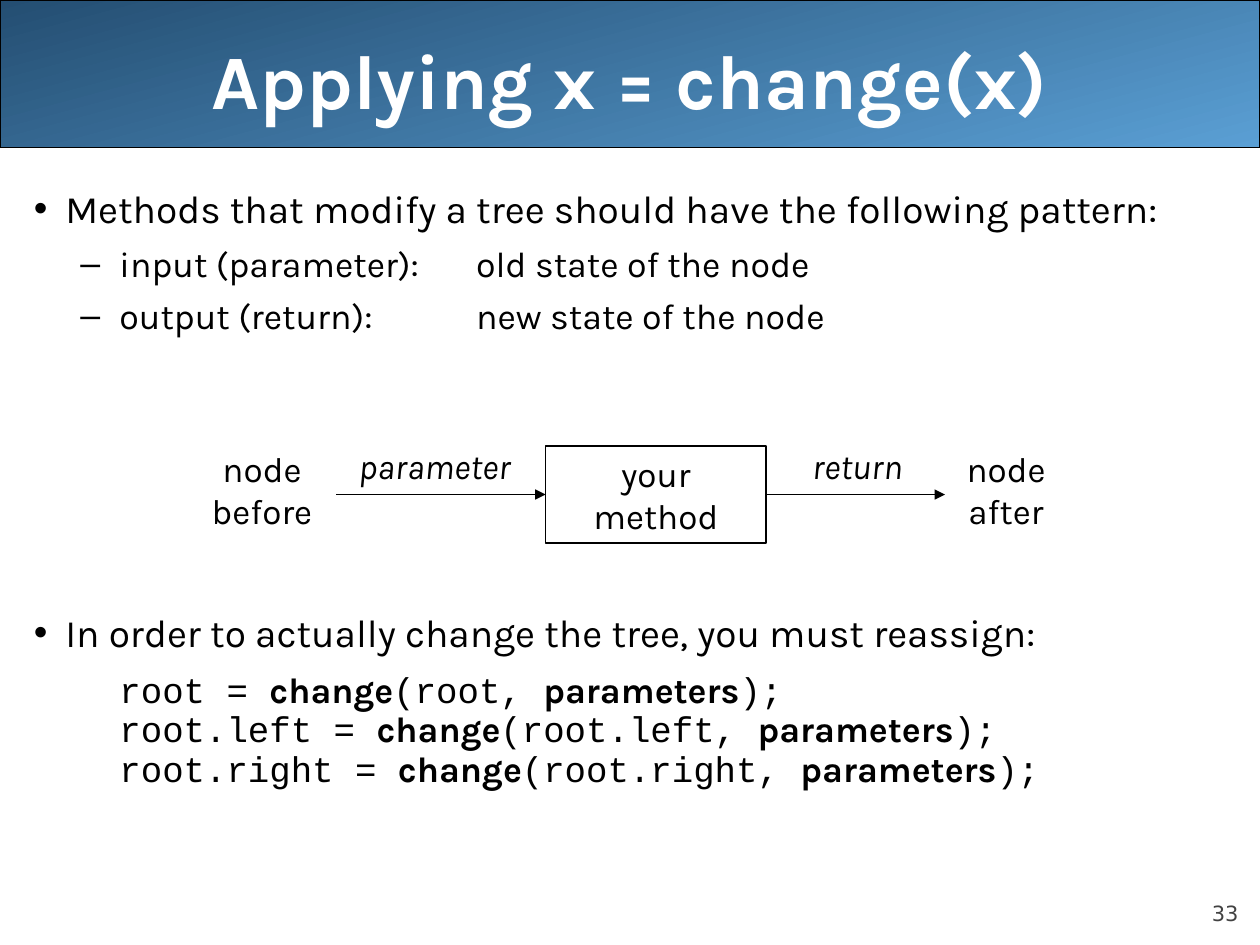
from lxml.etree import SubElement
from pptx import Presentation
from pptx.dml.color import RGBColor
from pptx.enum.shapes import MSO_CONNECTOR, MSO_SHAPE
from pptx.enum.text import MSO_ANCHOR as ANCHOR, PP_ALIGN as ALIGN
from pptx.oxml.ns import qn
from pptx.util import Inches, Pt

COLORS = {
    "ink": "000000",
    "title": "FFFFFF",
    "number": "424242",
    "band_dark": "244E72",
    "band_light": "5A9FD4",
}
COLUMNS, ROWS = 100, 75
CELL = Inches(0.1)
BODY_FONT, CODE_FONT, NUMBER_FONT = "Karla", "Courier New", "DejaVu Sans"
BULLET_SIZE, DETAIL_SIZE, LABEL_SIZE = 22.2, 20.4, 20
TAB_STOP = Inches(3.51)


def color(name):
    return RGBColor.from_string(COLORS[name])


def cells(*counts):
    return [round(count * CELL) for count in counts]


def add_run(paragraph, text, size, font=BODY_FONT, ink="ink", bold=False, italic=False):
    run = paragraph.add_run()
    run.text = text
    run.font.size, run.font.name = Pt(size), font
    run.font.bold, run.font.italic = bold, italic
    run.font.color.rgb = color(ink)


def next_paragraph(frame):
    first = frame.paragraphs[0]
    return frame.add_paragraph() if first.runs else first


def add_text_box(slide, box, wrap=True):
    frame = slide.shapes.add_textbox(*cells(*box)).text_frame
    frame.word_wrap = wrap
    return frame


def add_lines(frame, lines, align=ALIGN.CENTER, italic=False):
    for line in lines:
        paragraph = next_paragraph(frame)
        paragraph.alignment = align
        add_run(paragraph, line, LABEL_SIZE, italic=italic)


def add_item(frame, left, hanging, before, bullet=None):
    paragraph = next_paragraph(frame)
    paragraph.space_before = Pt(before)
    properties = paragraph._p.get_or_add_pPr()
    properties.set("marL", str(Inches(left)))
    properties.set("indent", str(-Inches(hanging)))
    if bullet:
        SubElement(properties, qn("a:buFont"), typeface="Arial")
        SubElement(properties, qn("a:buChar"), char=bullet)
    tabs = SubElement(properties, qn("a:tabLst"))
    SubElement(tabs, qn("a:tab"), pos=str(TAB_STOP), algn="l")
    return paragraph


def add_bullet(frame, text):
    add_run(add_item(frame, 0.25, 0.25, 6, "•"), text, BULLET_SIZE)


def add_arrow(slide, start, end):
    arrow = slide.shapes.add_connector(MSO_CONNECTOR.STRAIGHT, *cells(*start, *end))
    arrow.line.color.rgb = color("ink")
    arrow.line.width = Pt(0.75)
    SubElement(arrow.line._get_or_add_ln(), qn("a:tailEnd"), type="triangle")
    SubElement(arrow._element.spPr, qn("a:effectLst"))
    return arrow


def add_title_band(slide, box):
    x, y, width, height = box
    band = slide.shapes.add_shape(MSO_SHAPE.ROUNDED_RECTANGLE, *cells(*box))
    band.adjustments[0] = 0
    band.shadow.inherit = False
    band.fill.gradient()
    band.fill.gradient_angle = 285
    for stop, name in zip(band.fill.gradient_stops, ("band_dark", "band_light")):
        stop.color.rgb = color(name)
    band.line.color.rgb = color("ink")
    band.line.width = Pt(0.75)

    frame = add_text_box(slide, (x + 5, y, width - 10, height + 0.8))
    frame.vertical_anchor = ANCHOR.MIDDLE
    title = frame.paragraphs[0]
    title.alignment = ALIGN.CENTER
    add_run(title, "Applying x = change(x)", 44, ink="title", bold=True)


def add_pattern(slide, box):
    frame = add_text_box(slide, box)
    add_bullet(frame, "Methods that modify a tree should have the following pattern:")
    for detail in ("input (parameter):\told state of the node",
                   "output (return):\tnew state of the node"):
        add_run(add_item(frame, 0.68, 0.31, 5.5, "–"), detail, DETAIL_SIZE)


def add_flow(slide, box):
    x, y, width, height = box
    label_height, middle = 7.7, y + 4.45
    method = slide.shapes.add_shape(
        MSO_SHAPE.RECTANGLE,
        *cells(x + 27.8, middle - label_height / 2, 17.5, label_height))
    method.shadow.inherit = False
    method.fill.background()
    method.line.color.rgb = color("ink")
    method.line.width = Pt(0.75)
    add_lines(method.text_frame, ("your", "method"))

    parameter_arrow = add_arrow(slide, (x + 11.2, middle), (x + 27.8, middle))
    parameter_arrow.end_connect(method, 1)
    return_arrow = add_arrow(slide, (x + 45.3, middle), (x + 59.5, middle))
    return_arrow.begin_connect(method, 3)

    for left, span, state in ((0, 10.6, "before"), (width - 8.7, 8.7, "after")):
        node = add_text_box(slide, (x + left, y + 0.2, span, label_height), wrap=False)
        add_lines(node, ("node", state))
    for left, span, label in ((10.9, 15.1, "parameter"), (47.4, 9.7, "return")):
        caption = add_text_box(slide, (x + left, y, span, 4.4), wrap=False)
        add_lines(caption, (label,), ALIGN.RIGHT, italic=True)


def add_reassignment(slide, box):
    frame = add_text_box(slide, box)
    add_bullet(frame, "In order to actually change the tree, you must reassign:")
    for index, target in enumerate(("root", "root.left", "root.right")):
        code = add_item(frame, 0.68, 0, 5.5 if index else 13.5)
        code.line_spacing = 0.7
        for text, is_name in ((f"{target} = ", False), ("change", True),
                              (f"({target}, ", False), ("parameters", True),
                              (");", False)):
            font = BODY_FONT if is_name else CODE_FONT
            add_run(code, text, DETAIL_SIZE, font, bold=is_name)


def add_slide_number(slide, box):
    frame = add_text_box(slide, box)
    frame.margin_left = frame.margin_right = frame.margin_top = frame.margin_bottom = 0
    frame.vertical_anchor = ANCHOR.BOTTOM
    number = frame.paragraphs[0]
    number.alignment = ALIGN.RIGHT
    add_run(number, "33", 12, NUMBER_FONT, "number")


def main():
    deck = Presentation()
    deck.slide_width, deck.slide_height = COLUMNS * CELL, ROWS * CELL
    slide = deck.slides.add_slide(deck.slide_layouts[6])
    add_title_band(slide, (0, 0, COLUMNS, 11.7))
    add_slide_number(slide, (90, 69.5, 8.3, 4))
    add_pattern(slide, (1.7, 14.2, 98.3, 14))
    add_reassignment(slide, (1.7, 47.85, 98.3, 23))
    add_flow(slide, (15.5, 34.8, 68.7, 8.5))
    deck.save("out.pptx")


if __name__ == "__main__":
    main()
